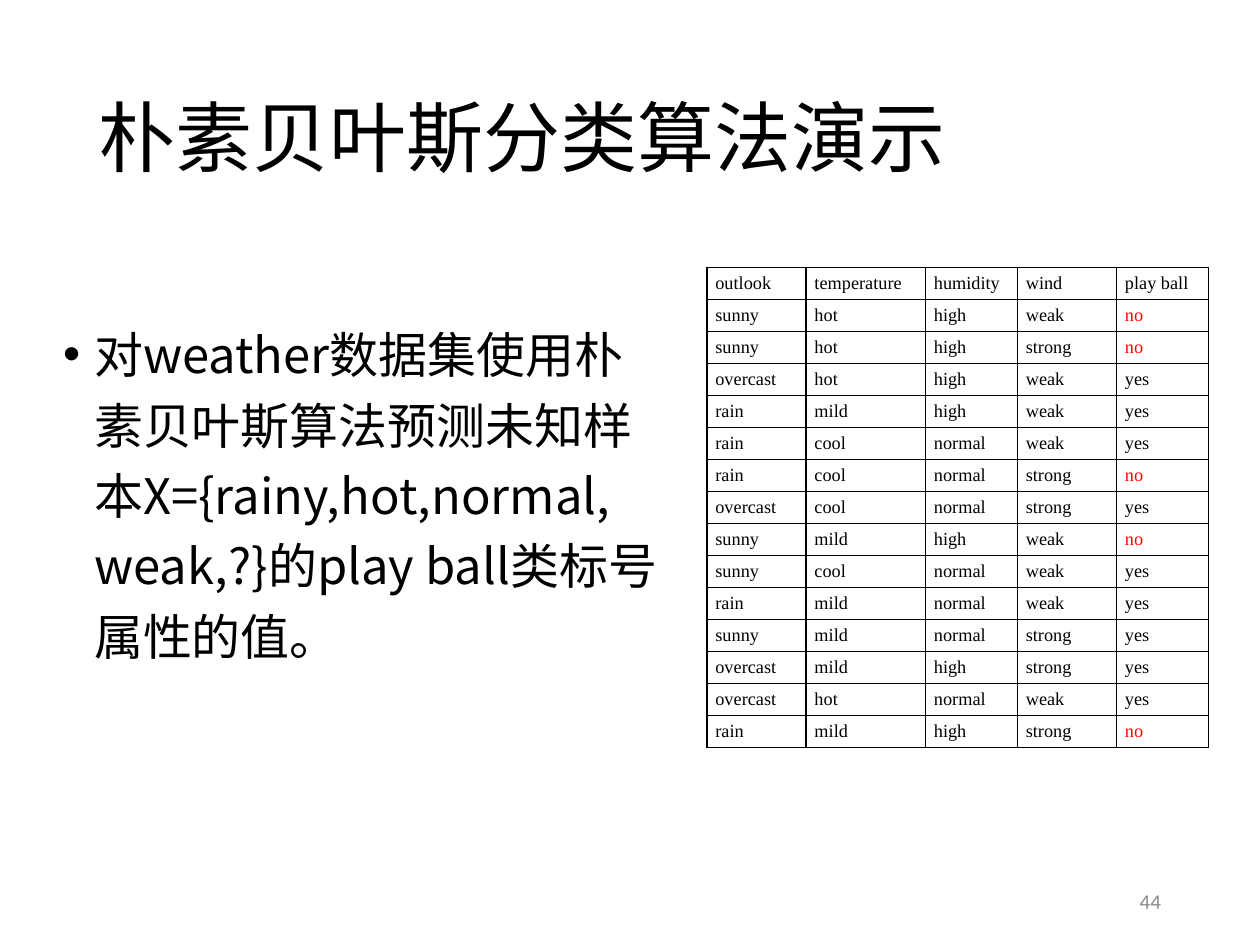
from lxml import etree
from pptx import Presentation
from pptx import util as u
from pptx.dml.color import RGBColor
from pptx.enum import text
from pptx.oxml.ns import qn

PX = 9144  # EMU per px, 100 px to the inch
HUES = {"ink": "000000", "no": "FF0000", "page": "8C8C8C"}
CJK = "Noto Sans CJK SC"
ROWS = """outlook,temperature,humidity,wind,play ball
sunny,hot,high,weak,no
sunny,hot,high,strong,no
overcast,hot,high,weak,yes
rain,mild,high,weak,yes
rain,cool,normal,weak,yes
rain,cool,normal,strong,no
overcast,cool,normal,strong,yes
sunny,mild,high,weak,no
sunny,cool,normal,weak,yes
rain,mild,normal,weak,yes
sunny,mild,normal,strong,yes
overcast,mild,high,strong,yes
overcast,hot,normal,weak,yes
rain,mild,high,strong,no"""
WIDTHS = [83, 100, 77, 83, 77]
TALL = 402  # whole table


def px(*nums):
    return [u.Emu(n * PX) for n in nums]


def style(para, size, face, hue):
    for run in para.runs:
        font = run.font
        font.size, font.name = u.Pt(size), face
        font.color.rgb = RGBColor.from_string(HUES[hue])
        east = etree.SubElement(font._element, qn("a:ea"))
        east.set("typeface", CJK)


def hang(para, dent):
    props = para._p.get_or_add_pPr()
    props.set("marL", str(dent * PX))
    props.set("indent", str(-dent * PX))
    return props


def label(slide, box, words, size, face, hue="ink", mid=True):
    frame = slide.shapes.add_textbox(*px(*box)).text_frame
    frame.word_wrap = True
    frame.vertical_anchor = text.MSO_ANCHOR.MIDDLE if mid else text.MSO_ANCHOR.TOP
    frame.text = words
    para = frame.paragraphs[0]
    style(para, size, face, hue)
    return para


def bullet(para):
    props = hang(para, 26)
    font = etree.SubElement(props, qn("a:buFont"))
    font.set("typeface", "Arial")
    etree.SubElement(props, qn("a:buChar")).set("char", "•")


def border(cell):
    props = cell._tc.get_or_add_tcPr()
    for n, side in enumerate(("lnL", "lnR", "lnT", "lnB")):
        line = etree.Element(qn("a:" + side), w=str(u.Pt(1)))
        fill = etree.SubElement(line, qn("a:solidFill"))
        etree.SubElement(fill, qn("a:srgbClr")).set("val", HUES["ink"])
        props.insert(n, line)


def fill_cell(cell, word):
    cell.fill.background()
    cell.vertical_anchor = text.MSO_ANCHOR.MIDDLE
    cell.margin_left, cell.margin_right = px(7, 7)
    cell.margin_top, cell.margin_bottom = px(4, 4)
    cell.text = word
    para = cell.text_frame.paragraphs[0]
    hang(para, 32)
    style(para, 11, "Times New Roman", "no" if word == "no" else "ink")
    border(cell)


def grid(slide, left, top):
    rows = [line.split(",") for line in ROWS.splitlines()]
    box = px(left, top, sum(WIDTHS), TALL)
    table = slide.shapes.add_table(len(rows), len(WIDTHS), *box).table
    table.first_row = table.horz_banding = False
    for col, wide in zip(table.columns, WIDTHS):
        col.width = u.Emu(wide * PX)
    for row, words in zip(table.rows, rows):
        for cell, word in zip(row.cells, words):
            fill_cell(cell, word)


def main():
    deck = Presentation()
    deck.slide_width, deck.slide_height = px(1055, 791)
    slide = deck.slides.add_slide(deck.slide_layouts[6])

    # Title
    title = label(slide, (73, 42, 910, 153), "朴素贝叶斯分类算法演示", 46.4, "Calibri")
    title.line_spacing = 0.9

    # Task
    task = label(slide, (43, 257, 520, 376),
                 "对weather数据集使用朴素贝叶斯算法预测未知样本"
                 "X={rainy,hot,normal, weak,?}的play ball类标号属性的值。",
                 29.5, CJK, mid=False)
    task.line_spacing = 1.2
    task.space_before = u.Pt(10.6)
    bullet(task)

    # Weather data
    grid(slide, 592, 224)

    # Page number
    page = label(slide, (745, 733, 237, 42), "44", 12.7, "Calibri", "page")
    page.alignment = text.PP_ALIGN.RIGHT

    deck.save("out.pptx")


if __name__ == "__main__":
    main()
